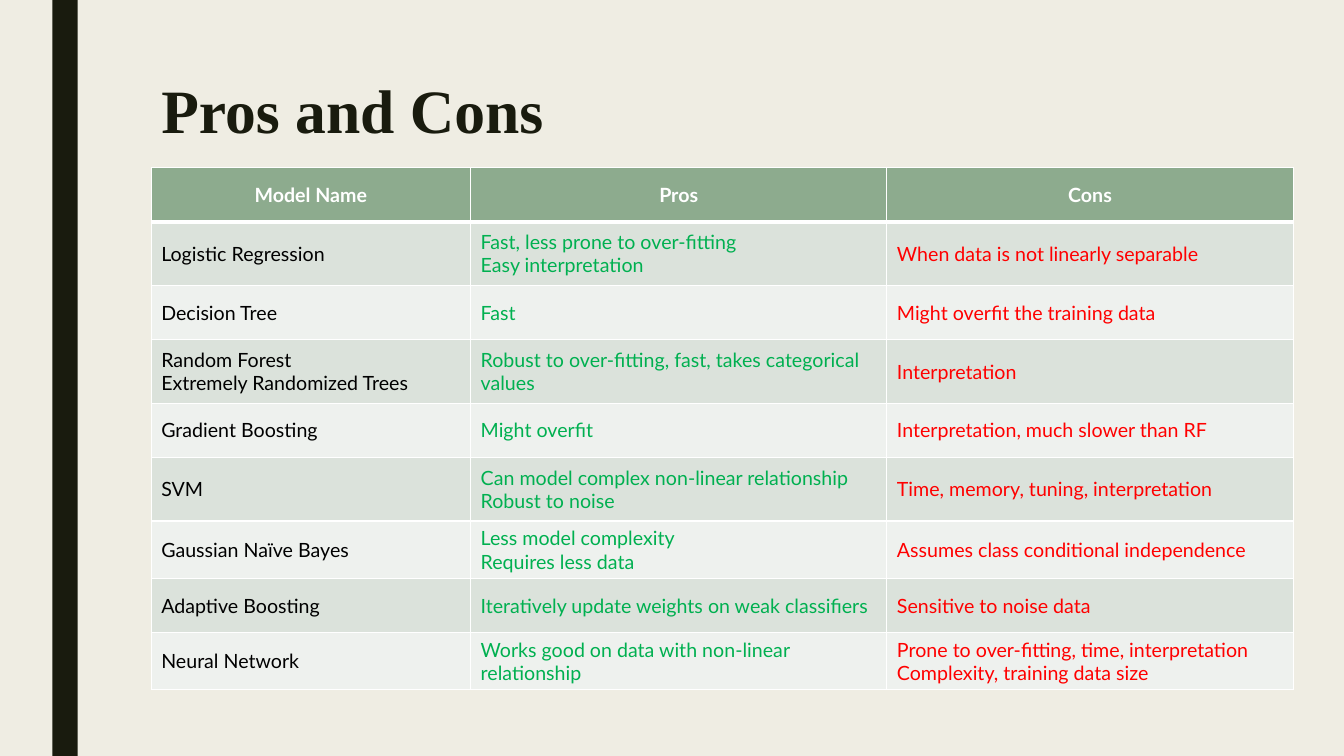
from lxml.etree import SubElement
from pptx import Presentation
from pptx.dml.color import RGBColor
from pptx.enum.shapes import MSO_SHAPE
from pptx.enum.text import MSO_ANCHOR, PP_ALIGN
from pptx.oxml.ns import qn
from pptx.util import Cm, Pt

COLORS = {
    "paper": "EFEDE3", "ink": "191B0E", "head": "8DAB8E", "odd": "DBE2DB",
    "even": "EEF1EE", "white": "FFFFFF", "black": "000000",
    "green": "00B050", "red": "FF0000",
}
HEADS = ["Model Name", "Pros", "Cons"]
MODELS = [
    ("Logistic Regression", "Fast, less prone to over-fitting\nEasy interpretation",
     "When data is not linearly separable"),
    ("Decision Tree", "Fast", "Might overfit the training data"),
    ("Random Forest\nExtremely Randomized Trees",
     "Robust to over-fitting, fast, takes categorical values", "Interpretation"),
    ("Gradient Boosting", "Might overfit", "Interpretation, much slower than RF"),
    ("SVM", "Can model complex non-linear relationship\nRobust to noise",
     "Time, memory, tuning, interpretation"),
    ("Gaussian Naïve Bayes", "Less model complexity\nRequires less data",
     "Assumes class conditional independence"),
    ("Adaptive Boosting", "Iteratively update weights on weak classifiers",
     "Sensitive to noise data"),
    ("Neural Network", "Works good on data with non-linear relationship",
     "Prone to over-fitting, time, interpretation\nComplexity, training data size"),
]
WIDTHS = [8.05, 10.49, 10.24]
LOW, TALL = 1.37, 1.6
HEIGHTS = [LOW, TALL, LOW, TALL, LOW, TALL, LOW, LOW, LOW]


def color(name):
    return RGBColor.from_string(COLORS[name])


def write(frame, text, size=14, font="Lato", ink="black", bold=False,
          align=PP_ALIGN.LEFT, space=None):
    """Fill a text frame with one paragraph per line of text."""
    frame.text = text
    for para in frame.paragraphs:
        para.alignment = align
        para.line_spacing = space
        for run in para.runs:
            run.font.size = Pt(size)
            run.font.name = font
            run.font.bold = bold
            run.font.color.rgb = color(ink)


def border(cell, **widths):
    """Draw white cell edges; widths are points keyed by L, R, T and B."""
    props = cell._tc.get_or_add_tcPr()
    for side in "LRTB":
        line = SubElement(props, qn(f"a:ln{side}"), w=str(Pt(widths.get(side, 1))))
        fill = SubElement(line, qn("a:solidFill"))
        SubElement(fill, qn("a:srgbClr"), val=COLORS["white"])


class Deck:
    def __init__(self):
        self.show = Presentation()
        self.show.slide_width, self.show.slide_height = Cm(33.87), Cm(19.05)
        self.slide = None

    def add(self):
        self.slide = self.show.slides.add_slide(self.show.slide_layouts[5])
        fill = self.slide.background.fill
        fill.solid()
        fill.fore_color.rgb = color("paper")

    def bar(self, left, width):
        bar = self.slide.shapes.add_shape(
            MSO_SHAPE.RECTANGLE, Cm(left), 0, Cm(width), self.show.slide_height)
        bar.shadow.inherit = False
        bar.fill.solid()
        bar.fill.fore_color.rgb = color("ink")
        bar.line.fill.background()

    def title(self, text, left, top, width, height):
        title = self.slide.shapes.title
        title.left, title.top = Cm(left), Cm(top)
        title.width, title.height = Cm(width), Cm(height)
        title.text_frame.vertical_anchor = MSO_ANCHOR.TOP
        write(title.text_frame, text, size=44, font="Times New Roman",
              ink="ink", bold=True, space=0.89)

    def cell(self, cell, text, fill, edges, **style):
        write(cell.text_frame, text, **style)
        cell.vertical_anchor = MSO_ANCHOR.MIDDLE
        border(cell, **edges)
        cell.fill.solid()
        cell.fill.fore_color.rgb = color(fill)

    def table(self, left, top):
        table = self.slide.shapes.add_table(
            len(HEIGHTS), len(WIDTHS), Cm(left), Cm(top),
            Cm(sum(WIDTHS)), Cm(sum(HEIGHTS))).table
        for col, width in zip(table.columns, WIDTHS):
            col.width = Cm(width)
        for row, height in zip(table.rows, HEIGHTS):
            row.height = Cm(height)
        for c, head in enumerate(HEADS):
            self.cell(table.cell(0, c), head, "head", {"B": 3}, ink="white",
                      bold=True, align=PP_ALIGN.CENTER)
        for r, model in enumerate(MODELS, 1):
            fill = "odd" if r % 2 else "even"
            edges = {"T": 3} if r == 1 else {}
            for c, (text, ink) in enumerate(zip(model, ("black", "green", "red"))):
                self.cell(table.cell(r, c), text, fill, edges, ink=ink)


def main():
    deck = Deck()
    deck.add()
    deck.bar(1.32, 0.64)
    deck.title("Pros and Cons", 3.81, 1.9, 26.67, 2.64)
    deck.table(3.81, 4.22)
    deck.show.save("out.pptx")


if __name__ == "__main__":
    main()
